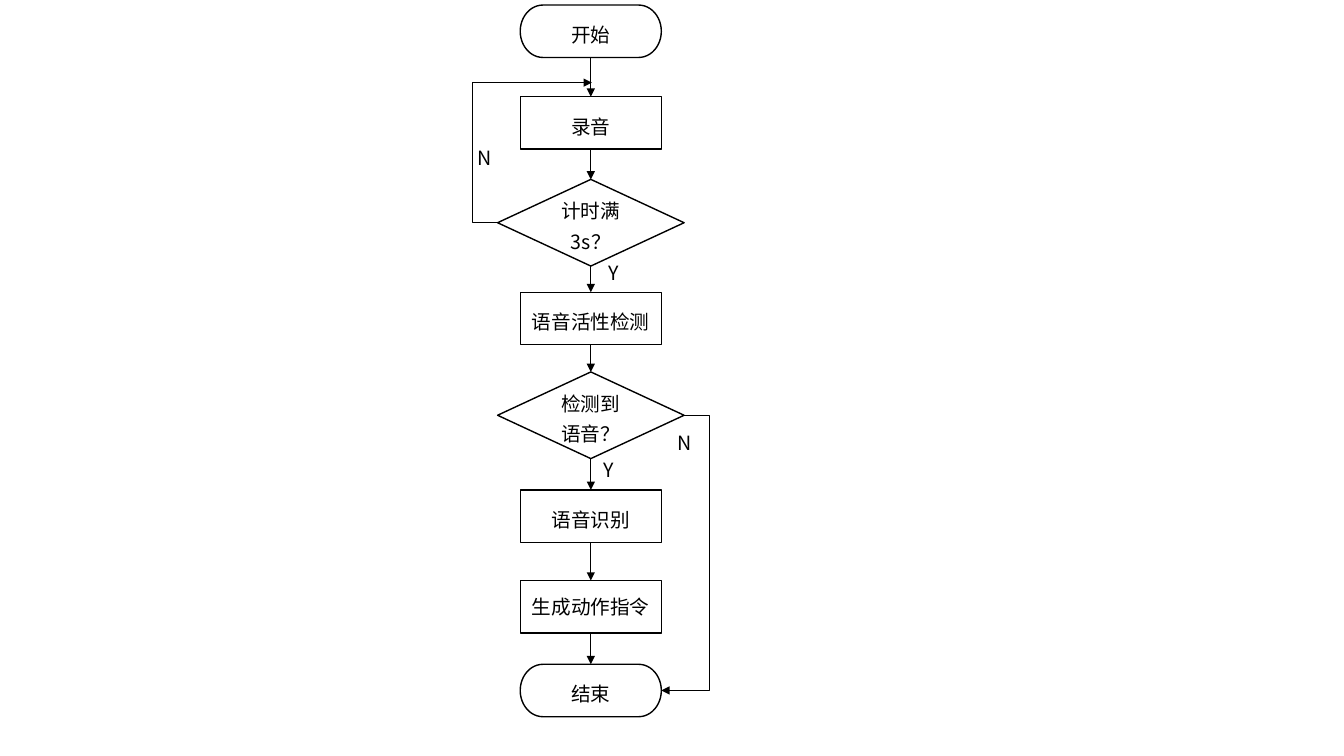
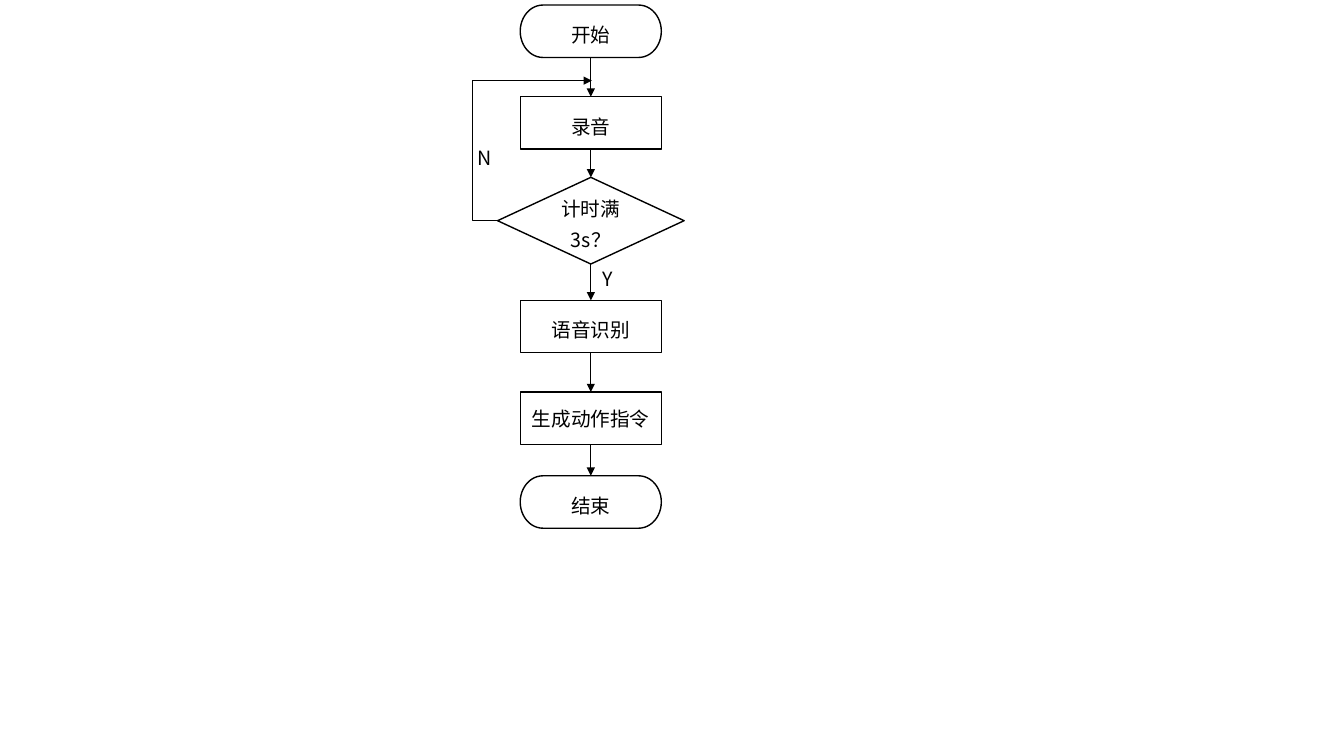
"""Builds two voice-control flowcharts, with and without voice activity detection."""
from lxml.etree import SubElement
from pptx import Presentation
from pptx.dml.color import RGBColor
from pptx.enum.shapes import MSO_CONNECTOR as Route, MSO_SHAPE as Preset
from pptx.enum.text import MSO_ANCHOR as Anchor, MSO_AUTO_SIZE as AutoSize, PP_ALIGN as Align
from pptx.oxml.ns import qn
from pptx.util import Inches, Pt

BLACK = RGBColor(0x00, 0x00, 0x00)
WHITE = RGBColor(0xFF, 0xFF, 0xFF)
FONT = "Noto Sans CJK SC"
TEXT_SIZE = Pt(14)

AXIS = 5.86
DETOUR = 0.25
LABEL_SIZE = (0.52, 0.34)
TOP, LEFT, BOTTOM, RIGHT = range(4)

KINDS = {
    "terminal": (Preset.FLOWCHART_TERMINATOR, 1.4, 0.52),
    "process": (Preset.RECTANGLE, 1.4, 0.52),
    "decision": (Preset.FLOWCHART_DECISION, 1.85, 0.86),
}

FLOWS = [
    {
        "steps": [
            ("terminal", "开始", 0.05, 1.3),
            ("process", "录音", 0.96, 1.3),
            ("decision", "计时满3s？", 1.78, 1.3),
            ("process", "语音活性检测", 2.9, 1.3),
            ("decision", "检测到语音？", 3.69, 1.3),
            ("process", "语音识别", 4.86, 1.3),
            ("process", "生成动作指令", 5.76, 1.0),
            ("terminal", "结束", 6.59, 1.3),
        ],
        "retry": ("计时满3s？", 0.82),
        "skip": ("检测到语音？", "结束"),
        "answers": [("N", 4.55, 1.4), ("Y", 5.83, 2.54), ("N", 6.53, 4.23), ("Y", 5.78, 4.49)],
    },
    {
        "steps": [
            ("terminal", "开始", 0.05, 1.3),
            ("process", "录音", 0.96, 1.3),
            ("decision", "计时满3s？", 1.76, 1.3),
            ("process", "语音识别", 2.98, 1.3),
            ("process", "生成动作指令", 3.89, 1.0),
            ("terminal", "结束", 4.72, 1.3),
        ],
        "retry": ("计时满3s？", 0.8),
        "skip": None,
        "answers": [("N", 4.55, 1.4), ("Y", 5.77, 2.6)],
    },
]


def write(frame, text, spacing=None):
    frame.word_wrap = True
    paragraph = frame.paragraphs[0]
    paragraph.alignment = Align.CENTER
    if spacing:
        paragraph.line_spacing = spacing
    run = paragraph.add_run()
    run.text = text
    run.font.size = TEXT_SIZE
    run.font.name = FONT
    run.font.color.rgb = BLACK
    SubElement(run.font._element, qn("a:ea"), typeface=FONT)


def add_step(slide, kind, text, top, spacing):
    preset, width, height = KINDS[kind]
    step = slide.shapes.add_shape(
        preset, Inches(AXIS - width / 2), Inches(top), Inches(width), Inches(height))
    step.shadow.inherit = False
    step.fill.solid()
    step.fill.fore_color.rgb = WHITE
    step.line.color.rgb = BLACK
    step.line.width = Pt(1)
    step.text_frame.vertical_anchor = Anchor.MIDDLE
    write(step.text_frame, text, spacing)
    return step


def add_arrow(slide, route, source, source_side, target=None, target_side=None, end=(0, 0)):
    arrow = slide.shapes.add_connector(route, 0, 0, *map(Inches, end))
    arrow.begin_connect(source, source_side)
    if target is not None:
        arrow.end_connect(target, target_side)
    arrow.line.color.rgb = BLACK
    arrow.line.width = Pt(0.5)
    SubElement(arrow.line._get_or_add_ln(), qn("a:tailEnd"), type="triangle")
    properties = arrow._element.spPr
    SubElement(properties, qn("a:effectLst"))
    if route == Route.ELBOW:
        outward = Inches(DETOUR) * (1 if source_side == RIGHT else -1)
        bend = round(100000 * outward / (arrow.end_x - arrow.begin_x))
        guides = properties.find(qn("a:prstGeom")).get_or_add_avLst()
        SubElement(guides, qn("a:gd"), name="adj1", fmla=f"val {bend}")


def add_answer(slide, text, left, top):
    answer = slide.shapes.add_textbox(*map(Inches, (left, top, *LABEL_SIZE)))
    answer.text_frame.auto_size = AutoSize.SHAPE_TO_FIT_TEXT
    write(answer.text_frame, text)


def add_flow(slide, flow):
    steps = {row[1]: add_step(slide, *row) for row in flow["steps"]}
    sequence = list(steps.values())
    for source, target in zip(sequence, sequence[1:]):
        add_arrow(slide, Route.STRAIGHT, source, BOTTOM, target, TOP)
    check, merge_height = flow["retry"]
    add_arrow(slide, Route.ELBOW, steps[check], LEFT, end=(AXIS + 0.01, merge_height))
    if flow["skip"]:
        check, finish = flow["skip"]
        add_arrow(slide, Route.ELBOW, steps[check], RIGHT, steps[finish], RIGHT)
    for answer in flow["answers"]:
        add_answer(slide, *answer)


def main():
    deck = Presentation()
    deck.slide_width, deck.slide_height = Inches(13.33), Inches(7.5)
    for flow in FLOWS:
        add_flow(deck.slides.add_slide(deck.slide_layouts[6]), flow)
    deck.save("out.pptx")


if __name__ == "__main__":
    main()
